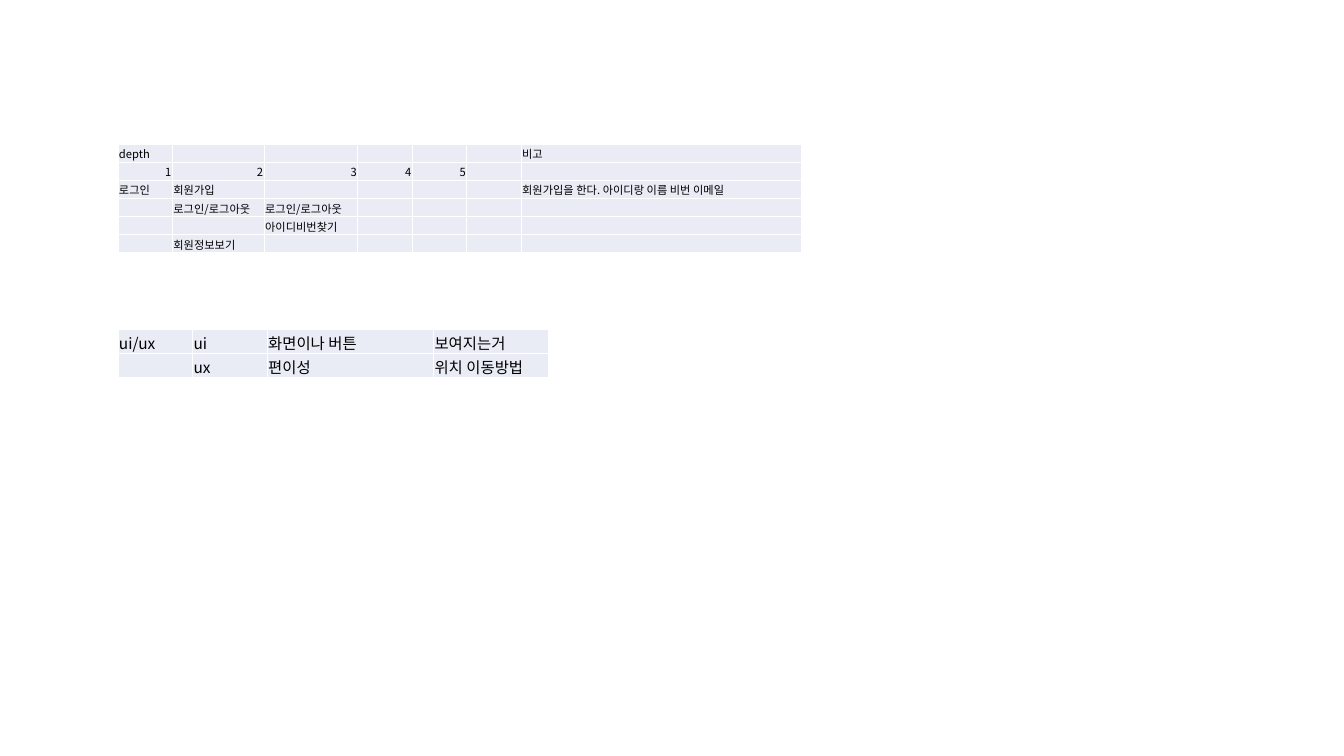
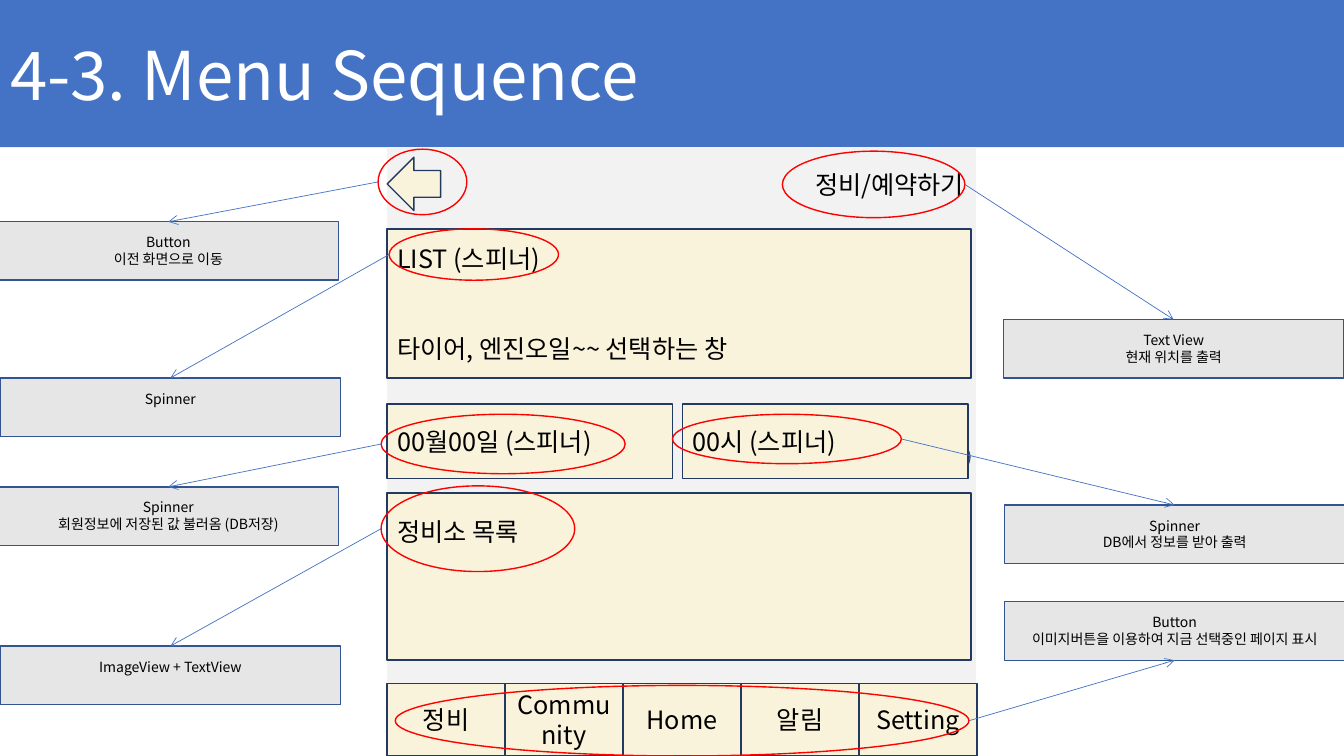
from lxml import etree
from pptx import Presentation
from pptx.dml.color import RGBColor
from pptx.enum.shapes import MSO_CONNECTOR as Connector, MSO_SHAPE as Shape
from pptx.enum.text import MSO_ANCHOR as Anchor, MSO_AUTO_SIZE as AutoSize, PP_ALIGN as Align
from pptx.oxml.ns import qn
from pptx.util import Inches, Pt

FONT = "Noto Sans CJK KR"
BLACK, WHITE, BLUE, RED = "000000", "FFFFFF", "4472C4", "FF0000"
CELL, PANEL, CREAM, GREY, PEACH = "E9EBF5", "F2F2F2", "FAF3DB", "E7E6E6", "FFE7D8"
NAVY, NOTE_LINE = "223961", "325491"
LEFT, CENTER, RIGHT = Align.LEFT, Align.CENTER, Align.RIGHT
TOP, BOTTOM = 0, 2
NOTE_WIDTH, NOTE_HEIGHT = 3.38, 0.58


def color(value):
    return RGBColor.from_string(value)


class Sketch:
    """Holds the deck, the current slide and the shared style."""

    def __init__(self):
        self.deck = Presentation()
        self.deck.slide_width, self.deck.slide_height = Inches(13.33), Inches(7.5)
        self.page = None

    def new_page(self, layout):
        self.page = self.deck.slides.add_slide(self.deck.slide_layouts[layout])

    def add_span(self, para, text, size, ink=BLACK, align=LEFT):
        para.alignment = align
        span = para.add_run()
        span.text = text
        span.font.size = Pt(size)
        span.font.name = FONT
        span.font.color.rgb = color(ink)
        etree.SubElement(span.font._element, qn("a:ea"), typeface=FONT)

    def title(self, text):
        band = self.page.shapes.title
        band.left, band.top = 0, 0
        band.width, band.height = self.deck.slide_width, Inches(1.46)
        band.fill.solid()
        band.fill.fore_color.rgb = color(BLUE)
        frame = band.text_frame
        frame.auto_size = AutoSize.NONE
        frame.vertical_anchor = Anchor.MIDDLE
        self.add_span(frame.paragraphs[0], text, 48, WHITE)

    def table(self, left, top, widths, row_height, rows, size):
        frame = self.page.shapes.add_table(
            len(rows), len(widths), Inches(left), Inches(top),
            Inches(sum(widths)), Inches(row_height * len(rows)))
        table = frame.table
        table.first_row = table.horz_banding = False
        for column, width in zip(table.columns, widths):
            column.width = Inches(width)
        for row, texts in zip(table.rows, rows):
            row.height = Inches(row_height)
            for cell, text in zip(row.cells, texts):
                self.fill_cell(cell, text, size)

    def fill_cell(self, cell, text, size):
        cell.margin_left = cell.margin_right = cell.margin_top = Inches(0.01)
        cell.margin_bottom = 0
        cell.vertical_anchor = Anchor.MIDDLE
        for side in ("lnL", "lnR", "lnT", "lnB"):
            border = etree.SubElement(cell._tc.tcPr, qn(f"a:{side}"), w=str(Pt(1)))
            paint = etree.SubElement(border, qn("a:solidFill"))
            etree.SubElement(paint, qn("a:srgbClr"), val=WHITE)
        cell.fill.solid()
        cell.fill.fore_color.rgb = color(CELL)
        para = cell.text_frame.paragraphs[0]
        if text:
            self.add_span(para, text, size, align=RIGHT if text.isdigit() else LEFT)
        else:
            etree.SubElement(para._p, qn("a:endParaRPr"), sz=str(size * 100))

    def shape(self, kind, left, top, width, height, fill=None, line=None):
        box = self.page.shapes.add_shape(
            kind, Inches(left), Inches(top), Inches(width), Inches(height))
        box.shadow.inherit = False
        if fill:
            box.fill.solid()
            box.fill.fore_color.rgb = color(fill)
        else:
            box.fill.background()
        if line:
            box.line.color.rgb = color(line)
            box.line.width = Pt(1)
        else:
            box.line.fill.background()
        return box

    def text(self, box, lines, size=18, align=LEFT, gap=0, inset=None):
        """Centre the lines vertically, or start them at a given inset."""
        frame = box.text_frame
        frame.word_wrap = True
        frame.vertical_anchor = Anchor.MIDDLE if inset is None else Anchor.TOP
        if inset is not None:
            frame.margin_top = Inches(inset)
        for index, line in enumerate(lines):
            para = frame.add_paragraph() if index else frame.paragraphs[0]
            para.line_spacing = Pt(size * 1.2)
            if index and gap:
                para.space_before = Pt(gap)
            self.add_span(para, line, size, align=align)

    def field(self, left, top, width, height, *lines, **style):
        box = self.shape(Shape.RECTANGLE, left, top, width, height, CREAM, NAVY)
        self.text(box, lines, **style)

    def label(self, left, top, width, height, text, align):
        box = self.page.shapes.add_textbox(
            Inches(left), Inches(top), Inches(width), Inches(height))
        self.text(box, [text], align=align)

    def note(self, left, top, lines):
        box = self.shape(Shape.RECTANGLE, left, top, NOTE_WIDTH, NOTE_HEIGHT, GREY, NOTE_LINE)
        self.text(box, lines, size=10, align=CENTER, inset=0.12)
        return box

    def arrow(self, mark, note, site):
        """Lead from the side of the mark that faces the note."""
        start = mark.left if note.left < mark.left else mark.left + mark.width
        link = self.page.shapes.add_connector(
            Connector.STRAIGHT, start, mark.top + mark.height // 2, note.left, note.top)
        link.end_connect(note, site)
        link.line.color.rgb = color(BLUE)
        link.line.width = Pt(0.5)
        properties = link._element.spPr
        etree.SubElement(properties.find(qn("a:ln")), qn("a:tailEnd"), type="arrow")
        etree.SubElement(properties, qn("a:effectLst"))


def build_tables(sketch):
    sketch.new_page(6)
    sketch.table(1.17, 1.43, [0.54, 0.91, 0.93, 0.54, 0.54, 0.54, 2.78], 0.18, [
        ["depth", "", "", "", "", "", "비고"],
        ["1", "2", "3", "4", "5", "", ""],
        ["로그인", "회원가입", "", "", "", "", "회원가입을 한다. 아이디랑 이름 비번 이메일"],
        ["", "로그인/로그아웃", "로그인/로그아웃", "", "", "", ""],
        ["", "", "아이디비번찾기", "", "", "", ""],
        ["", "회원정보보기", "", "", "", "", ""],
    ], 8)
    sketch.table(1.17, 3.27, [0.74, 0.74, 1.65, 1.14], 0.24, [
        ["ui/ux", "ui", "화면이나 버튼", "보여지는거"],
        ["", "ux", "편이성", "위치 이동방법"],
    ], 11)


def build_menu(sketch):
    sketch.new_page(5)
    sketch.title("4-3. Menu Sequence")

    # Phone screen with its tab bar
    sketch.shape(Shape.RECTANGLE, 3.84, 1.46, 5.84, 6.04, PANEL)
    for index, tab in enumerate(["정비", "Community", "Home", "알림", "Setting"]):
        sketch.field(3.84 + 1.17 * index, 6.78, 1.17, 0.72, tab, align=CENTER)

    # Screen header and fields
    sketch.shape(Shape.LEFT_ARROW, 3.84, 1.56, 0.53, 0.53, CREAM, NAVY)
    sketch.label(5.22, 1.47, 4.44, 0.72, "정비/예약하기", RIGHT)
    sketch.field(3.84, 2.27, 5.79, 1.48, "LIST (스피너)", "타이어, 엔진오일~~ 선택하는 창", gap=43)
    sketch.field(3.84, 4.01, 2.83, 0.74, "00월00일 (스피너)")
    sketch.shape(Shape.OVAL, 9.31, 4.38, 0.31, 0.31, PEACH, NOTE_LINE)
    sketch.field(6.77, 4.01, 2.83, 0.74, "00시 (스피너)")
    sketch.field(3.84, 4.89, 5.79, 1.66, "정비소 목록", inset=0.23)

    # Each red mark, its note and the side of the note the arrow meets
    callouts = [
        ((3.75, 1.48, 0.88, 0.65), (-0.02, 2.2), TOP, ["Button", "이전 화면으로 이동"]),
        ((3.86, 2.27, 1.68, 0.51), (0, 3.75), TOP, ["Spinner"]),
        ((3.78, 4.11, 2.42, 0.59), (-0.02, 4.83), TOP,
         ["Spinner", "회원정보에 저장된 값 불러옴 (DB저장)"]),
        ((3.78, 4.82, 1.92, 0.85), (0, 6.41), TOP, ["ImageView + TextView"]),
        ((7.76, 1.5, 1.81, 0.66), (9.95, 3.17), TOP, ["Text View", "현재 위치를 출력"]),
        ((6.67, 4.11, 2.27, 0.49), (9.96, 5.01), TOP, ["Spinner", "DB에서 정보를 받아 출력"]),
        ((3.92, 6.8, 5.69, 0.7), (9.96, 5.97), BOTTOM,
         ["Button", "이미지버튼을 이용하여 지금 선택중인 페이지 표시"]),
    ]
    for area, place, site, lines in callouts:
        note = sketch.note(*place, lines)
        mark = sketch.shape(Shape.OVAL, *area, line=RED)
        sketch.arrow(mark, note, site)


def main():
    sketch = Sketch()
    build_tables(sketch)
    build_menu(sketch)
    sketch.deck.save("out.pptx")


if __name__ == "__main__":
    main()
